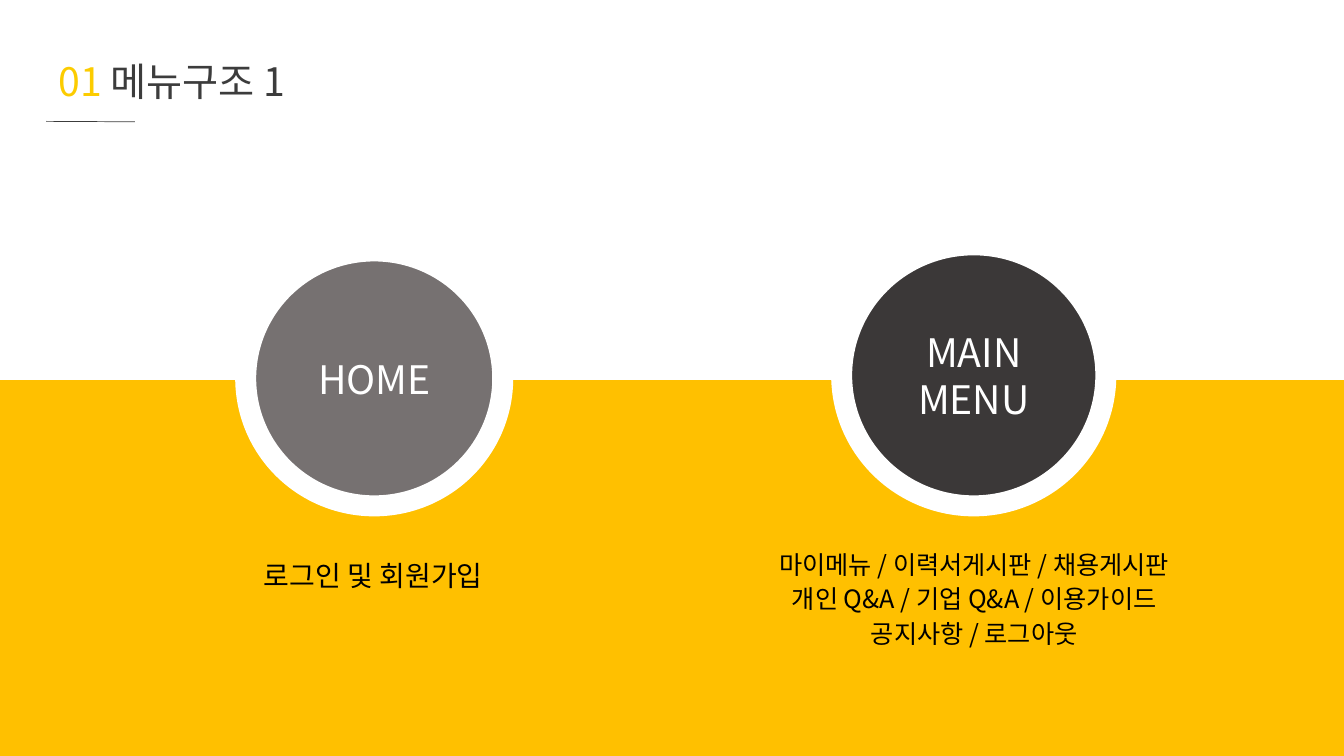
from dataclasses import dataclass

from lxml.etree import SubElement
from pptx import Presentation
from pptx.dml.color import RGBColor
from pptx.enum.shapes import MSO_CONNECTOR, MSO_SHAPE
from pptx.enum.text import MSO_ANCHOR, MSO_AUTO_SIZE, PP_ALIGN
from pptx.oxml.ns import qn
from pptx.shapes.base import BaseShape
from pptx.slide import Slide
from pptx.text.text import TextFrame, _Paragraph
from pptx.util import Emu, Inches, Pt

SLIDE_WIDTH = Inches(13.333)
SLIDE_HEIGHT = Inches(7.5)
COLUMNS, ROWS = 64, 36


@dataclass(frozen=True)
class Theme:
    font: str = "Noto Sans CJK KR"
    band: str = "FFC000"
    number: str = "FCCC00"
    heading: str = "3C3C3C"
    home: str = "767171"
    main: str = "3B3838"
    light: str = "FFFFFF"
    dark: str = "000000"
    heading_size: float = 28
    home_size: float = 20
    main_size: float = 18
    ring_width: float = 15
    rule_width: float = 0.5


@dataclass(frozen=True)
class Area:
    column: float
    row: float
    columns: float
    rows: float


@dataclass(frozen=True)
class Menu:
    label: list[str]
    items: list[str]
    fill: str
    circle: Area
    caption: Area
    caption_size: float
    line_spacing: float


THEME = Theme()
BAND = Area(0, 18.1, COLUMNS, ROWS - 18.1)
HEADING = Area(2.3, 2.5, 21.3, 2.74)
RULE = Area(2.2, 5.78, 4.22, 0.02)
MENUS = [
    Menu(["HOME"], ["로그인 및 회원가입"], THEME.home,
         Area(11.7, 11.95, 12.24, 12.14), Area(10.13, 26.35, 15.3, 2.1),
         THEME.home_size, 1),
    Menu(["MAIN", "MENU"],
         ["마이메뉴 / 이력서게시판 / 채용게시판",
          "개인 Q&A / 기업 Q&A / 이용가이드",
          "공지사항 / 로그아웃"], THEME.main,
         Area(40.08, 11.66, 12.58, 12.43), Area(35.14, 25.68, 22.5, 5.52),
         THEME.main_size, 1.15),
]


def across(columns: float) -> Emu:
    return Emu(round(SLIDE_WIDTH * columns / COLUMNS))


def down(rows: float) -> Emu:
    return Emu(round(SLIDE_HEIGHT * rows / ROWS))


def bounds(area: Area) -> tuple[Emu, Emu, Emu, Emu]:
    return across(area.column), down(area.row), across(area.columns), down(area.rows)


def apply(target: object, values: dict[str, object]) -> None:
    for key, value in values.items():
        setattr(target, key, value)


def place(shape: BaseShape, area: Area) -> None:
    apply(shape, dict(zip(("left", "top", "width", "height"), bounds(area))))


def add_words(paragraph: _Paragraph, words: str, size: float, color: str) -> None:
    run = paragraph.add_run()
    run.text = words
    apply(run.font, {"name": THEME.font, "size": Pt(size), "bold": False})
    run.font.color.rgb = RGBColor.from_string(color)
    SubElement(run.font._element, qn("a:ea"), typeface=THEME.font)


def add_lines(frame: TextFrame, lines: list[str], size: float, color: str,
              spacing: float = 1) -> None:
    for index, line in enumerate(lines):
        paragraph = frame.add_paragraph() if index else frame.paragraphs[0]
        apply(paragraph, {"alignment": PP_ALIGN.CENTER, "line_spacing": spacing,
                          "space_before": Pt(0)})
        add_words(paragraph, line, size, color)


def prepare_frame(frame: TextFrame) -> None:
    apply(frame, {"word_wrap": True, "auto_size": MSO_AUTO_SIZE.NONE,
                  "vertical_anchor": MSO_ANCHOR.TOP})


def add_filled(slide: Slide, kind: MSO_SHAPE, area: Area, color: str) -> BaseShape:
    shape = slide.shapes.add_shape(kind, *bounds(area))
    shape.shadow.inherit = False
    shape.fill.solid()
    shape.fill.fore_color.rgb = RGBColor.from_string(color)
    shape.line.fill.background()
    return shape


def add_band(slide: Slide) -> None:
    band = add_filled(slide, MSO_SHAPE.RECTANGLE, BAND, THEME.band)
    slide.shapes._spTree.insert(2, band._element)


def add_heading(slide: Slide) -> None:
    heading = slide.shapes.title
    place(heading, HEADING)
    prepare_frame(heading.text_frame)
    paragraph = heading.text_frame.paragraphs[0]
    paragraph.alignment = PP_ALIGN.LEFT
    add_words(paragraph, "01 ", THEME.heading_size, THEME.number)
    add_words(paragraph, "메뉴구조 1", THEME.heading_size, THEME.heading)


def add_rule(slide: Slide) -> None:
    left, top, width, height = bounds(RULE)
    rule = slide.shapes.add_connector(
        MSO_CONNECTOR.STRAIGHT, left, top, left + width, top + height)
    rule.line.color.rgb = RGBColor.from_string(THEME.heading)
    rule.line.width = Pt(THEME.rule_width)
    SubElement(rule._element.spPr, qn("a:effectLst"))


def add_menu(slide: Slide, menu: Menu, caption: BaseShape) -> None:
    circle = add_filled(slide, MSO_SHAPE.OVAL, menu.circle, menu.fill)
    circle.line.color.rgb = RGBColor.from_string(THEME.light)
    circle.line.width = Pt(THEME.ring_width)
    circle.text_frame.vertical_anchor = MSO_ANCHOR.MIDDLE
    add_lines(circle.text_frame, menu.label, THEME.heading_size, THEME.light)

    place(caption, menu.caption)
    prepare_frame(caption.text_frame)
    add_lines(caption.text_frame, menu.items, menu.caption_size, THEME.dark,
              menu.line_spacing)
    for paragraph in caption.text_frame.paragraphs:
        properties = paragraph._p.get_or_add_pPr()
        properties.set("marL", "0")
        properties.set("indent", "0")
        SubElement(properties, qn("a:buNone"))


def main() -> None:
    deck = Presentation()
    apply(deck, {"slide_width": SLIDE_WIDTH, "slide_height": SLIDE_HEIGHT})
    slide = deck.slides.add_slide(deck.slide_layouts.get_by_name("Two Content"))
    add_band(slide)
    add_heading(slide)
    add_rule(slide)
    captions = [slide.placeholders[1], slide.placeholders[2]]
    for menu, caption in zip(MENUS, captions):
        add_menu(slide, menu, caption)
    deck.save("out.pptx")


if __name__ == "__main__":
    main()
